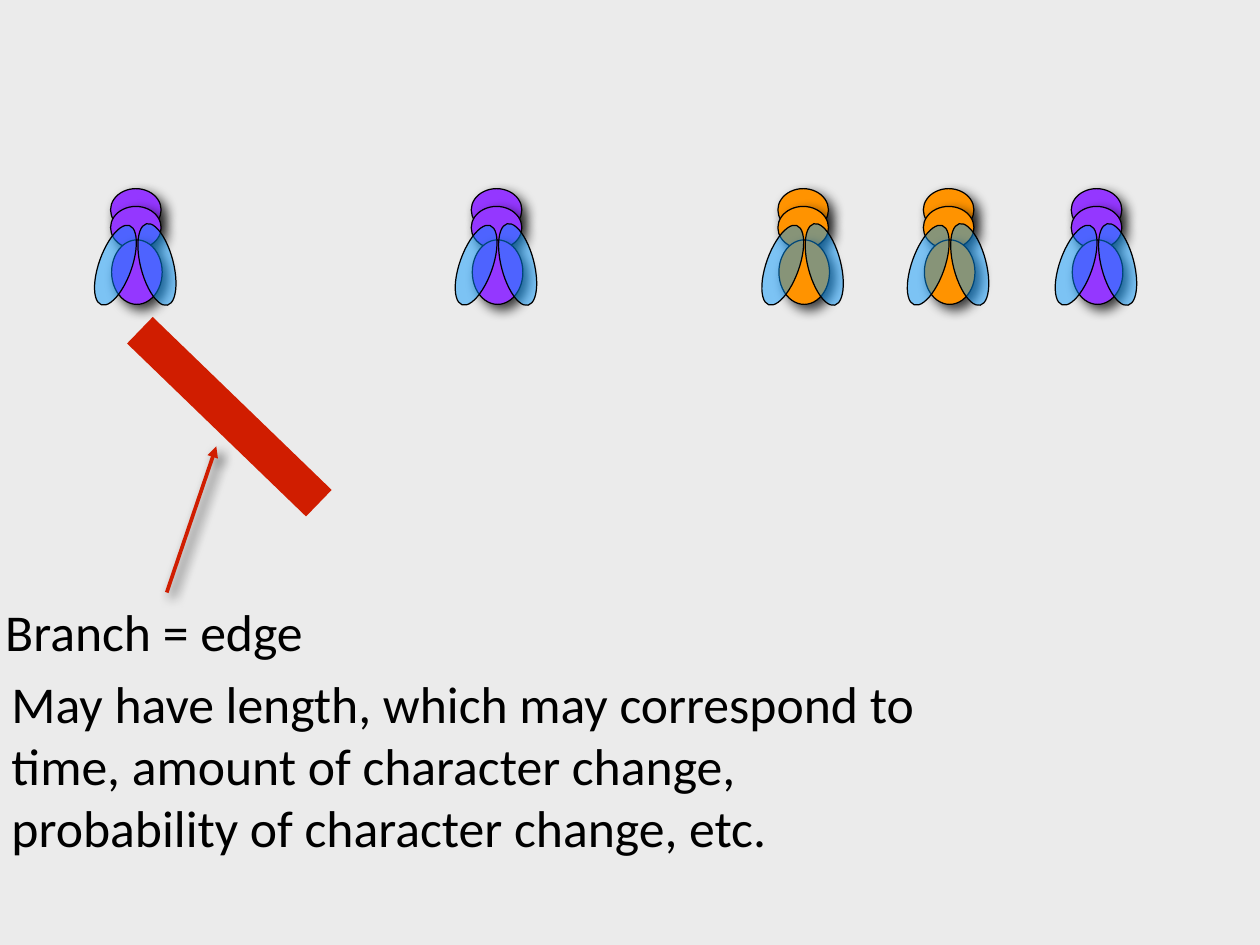
from lxml import etree
from pptx import Presentation
from pptx.dml.color import RGBColor
from pptx.enum.shapes import MSO_CONNECTOR, MSO_SHAPE
from pptx.enum.text import MSO_ANCHOR, PP_ALIGN
from pptx.oxml.ns import qn
from pptx.util import Cm, Pt

OVAL, RECTANGLE = MSO_SHAPE.OVAL, MSO_SHAPE.RECTANGLE
STRAIGHT = MSO_CONNECTOR.STRAIGHT
MIDDLE, LEFT = MSO_ANCHOR.MIDDLE, PP_ALIGN.LEFT

BLACK = RGBColor(0x00, 0x00, 0x00)
GREY = RGBColor(0xEB, 0xEB, 0xEB)
PURPLE = RGBColor(0x94, 0x37, 0xFF)
ORANGE = RGBColor(0xFF, 0x93, 0x00)
WING_BLUE = RGBColor(0x00, 0x96, 0xFF)
RED = RGBColor(0xD0, 0x1D, 0x00)

# Parts of a fly: left, top, width, height in cm from the fly's corner
BODY_PARTS = [
    (0.33, 0, 1.45, 1.22),
    (0.33, 0.51, 1.45, 1.22),
    (0.36, 1.47, 1.45, 1.85),
]
# Wings also have a rotation in degrees
WINGS = [
    (0, 0.99, 0.94, 2.41, 19.6),
    (1.19, 0.97, 0.94, 2.41, -14.5),
]
FLY_TOP = 5.41
FLIES = [(2.84, PURPLE), (13.18, PURPLE), (21.97, ORANGE),
         (26.14, ORANGE), (30.38, PURPLE)]


def set_opacity(shape, percent):
    color = shape.fill._xPr.find(qn("a:solidFill"))[0]
    etree.SubElement(color, qn("a:alpha"), val=str(percent * 1000))


def add_effects(shape, shadowed):
    """Give the shape its own effect list, empty or with a soft shadow."""
    properties = shape._element.spPr
    for old in properties.findall(qn("a:effectLst")):
        properties.remove(old)
    effects = etree.SubElement(properties, qn("a:effectLst"))
    if shadowed:
        shadow = etree.SubElement(
            effects, qn("a:outerShdw"), blurRad=str(Pt(10)), dist=str(Pt(6)),
            dir=str(45 * 60000), algn="ctr", rotWithShape="0")
        color = etree.SubElement(shadow, qn("a:srgbClr"), val=str(BLACK))
        etree.SubElement(color, qn("a:alpha"), val="75000")


def add_oval(group, left, top, width, height, color, shadowed):
    oval = group.shapes.add_shape(
        OVAL, Cm(left), Cm(top), Cm(width), Cm(height))
    oval.fill.solid()
    oval.fill.fore_color.rgb = color
    oval.line.color.rgb = BLACK
    oval.line.width = Pt(1)
    add_effects(oval, shadowed)
    return oval


def draw_fly(page, left, top, color):
    fly = page.shapes.add_group_shape()
    for x, y, width, height in BODY_PARTS:
        add_oval(fly, left + x, top + y, width, height, color, True)
    for x, y, width, height, angle in WINGS:
        wing = add_oval(fly, left + x, top + y, width, height,
                        WING_BLUE, False)
        wing.rotation = angle
        set_opacity(wing, 47)


def draw_line(page, start, end, width, shadowed=False):
    line = page.shapes.add_connector(
        STRAIGHT, Cm(start[0]), Cm(start[1]), Cm(end[0]), Cm(end[1]))
    line.line.color.rgb = RED
    line.line.width = Pt(width)
    add_effects(line, shadowed)
    return line


def draw_pointer(page, start, end):
    pointer = draw_line(page, start, end, 3, shadowed=True)
    outline = pointer.line._get_or_add_ln()
    etree.SubElement(outline, qn("a:tailEnd"), type="triangle")


def write_text(box, text):
    frame = box.text_frame
    frame.word_wrap = True
    frame.vertical_anchor = MIDDLE
    frame.margin_left = frame.margin_right = 0
    frame.margin_top = frame.margin_bottom = 0
    para = frame.paragraphs[0]
    para.alignment = LEFT
    span = para.add_run()
    span.text = text
    span.font.name = "Calibri"
    span.font.size = Pt(42)
    span.font.color.rgb = BLACK


def add_label(page, left, top, width, height, text):
    box = page.shapes.add_textbox(Cm(left), Cm(top), Cm(width), Cm(height))
    write_text(box, text)


def add_explanation(page, left, top, width, height, text):
    panel = page.shapes.add_shape(
        RECTANGLE, Cm(left), Cm(top), Cm(width), Cm(height))
    panel.shadow.inherit = False
    panel.fill.solid()
    panel.fill.fore_color.rgb = GREY
    set_opacity(panel, 86)
    panel.line.fill.background()
    write_text(panel, text)


def main():
    deck = Presentation()
    deck.slide_width, deck.slide_height = Cm(36.12), Cm(27.1)
    page = deck.slides.add_slide(deck.slide_layouts[6])
    page.background.fill.solid()
    page.background.fill.fore_color.rgb = GREY

    for left, color in FLIES:
        draw_fly(page, left, FLY_TOP, color)
    draw_line(page, (4.01, 9.47), (9.14, 14.43), 30)
    add_label(page, 0.15, 17.07, 9.73, 2.06, "Branch = edge")
    draw_pointer(page, (4.78, 16.99), (6.2, 12.8))
    add_explanation(
        page, 0.33, 19.1, 26.31, 5.64,
        "May have length, which may correspond to time, amount of character "
        "change, probability of character change, etc.")
    deck.save("out.pptx")


if __name__ == "__main__":
    main()
